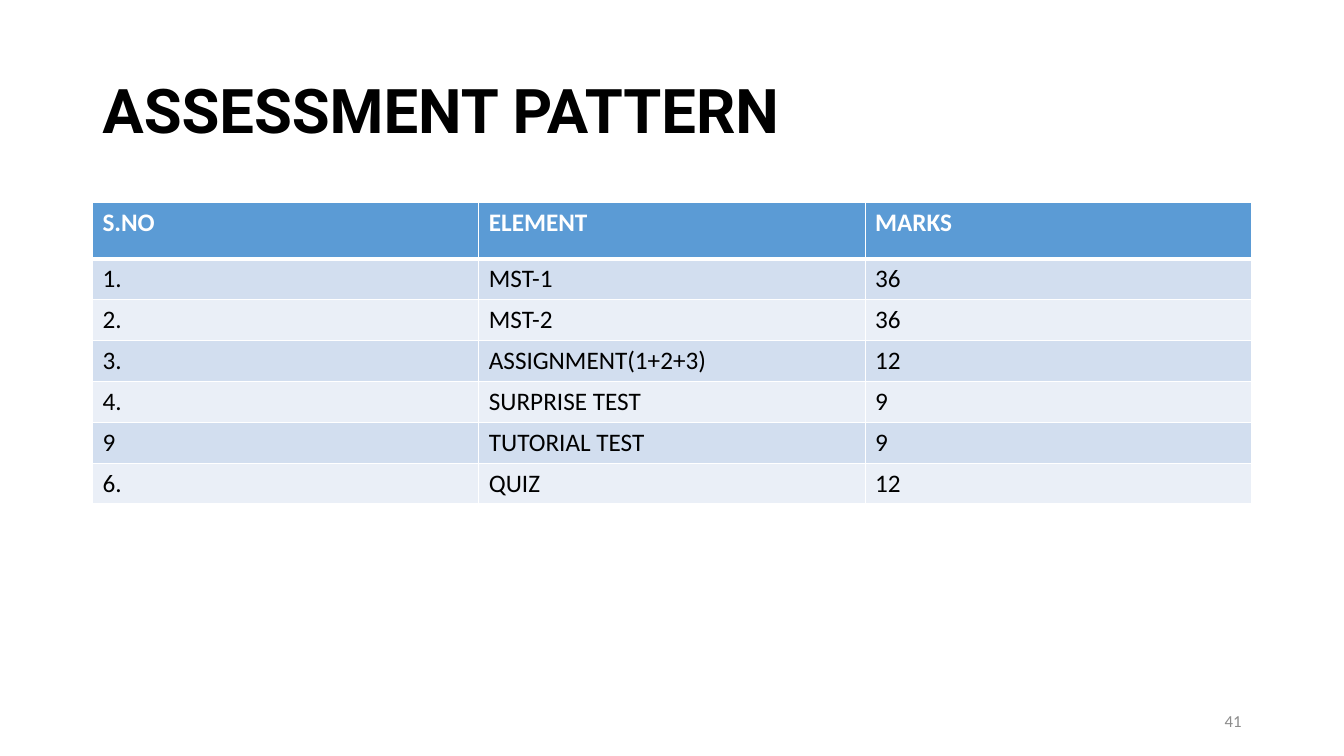
from dataclasses import dataclass

from lxml import etree
from pptx import Presentation
from pptx.dml.color import RGBColor
from pptx.enum import text
from pptx.oxml import ns
from pptx.util import Cm, Pt


@dataclass(frozen=True)
class Theme:
    heading_font: str = "Roboto"
    body_font: str = "Calibri"
    ink: str = "000000"
    white: str = "FFFFFF"
    grey: str = "8C8C8C"
    header: str = "5B9BD5"
    bands: tuple = ("D2DEEF", "EAEFF7")
    title_size: int = 44
    body_size: int = 18
    number_size: int = 12
    thin: int = 1
    thick: int = 3


THEME = Theme()
LEFT, WIDTH = 2.33, 29.21
HEADER_HEIGHT, ROW_HEIGHT = 1.42, 1.03
ROWS = [
    ("S.NO", "ELEMENT", "MARKS"),
    ("1.", "MST-1", "36"),
    ("2.", "MST-2", "36"),
    ("3.", "ASSIGNMENT(1+2+3)", "12"),
    ("4.", "SURPRISE TEST", "9"),
    ("9", "TUTORIAL TEST", "9"),
    ("6.", "QUIZ", "12"),
]


def write(tf, content, size=THEME.body_size, color=THEME.ink, font=THEME.body_font,
          bold=False, align=text.PP_ALIGN.LEFT, spacing=None):
    p = tf.paragraphs[0]
    p.alignment = align
    p.line_spacing = spacing
    r = p.add_run()
    r.text = content
    r.font.size = Pt(size)
    r.font.name = font
    r.font.bold = bold
    r.font.color.rgb = RGBColor.from_string(color)


def add_text(s, content, left, top, width, height, **style):
    tf = s.shapes.add_textbox(Cm(left), Cm(top), Cm(width), Cm(height)).text_frame
    tf.word_wrap = True
    tf.vertical_anchor = text.MSO_ANCHOR.MIDDLE
    write(tf, content, **style)


def set_borders(cell, **widths):
    """Draw white borders; widths maps a side (L, R, T, B) to points."""
    tc_pr = cell._tc.get_or_add_tcPr()
    for i, side in enumerate("LRTB"):
        ln = etree.Element(ns.qn(f"a:ln{side}"), w=str(Pt(widths.get(side, THEME.thin))))
        fill = etree.SubElement(ln, ns.qn("a:solidFill"))
        etree.SubElement(fill, ns.qn("a:srgbClr"), val=THEME.white)
        tc_pr.insert(i, ln)


def add_marks_table(s, rows, top):
    height = HEADER_HEIGHT + ROW_HEIGHT * (len(rows) - 1)
    table = s.shapes.add_table(len(rows), len(rows[0]), Cm(LEFT), Cm(top),
                               Cm(WIDTH), Cm(height)).table
    for i, row in enumerate(rows):
        is_header = i == 0
        table.rows[i].height = Cm(HEADER_HEIGHT if is_header else ROW_HEIGHT)
        fill = THEME.header if is_header else THEME.bands[(i - 1) % 2]
        borders = {0: {"B": THEME.thick}, 1: {"T": THEME.thick}}.get(i, {})
        for j, content in enumerate(row):
            cell = table.cell(i, j)
            cell.fill.solid()
            cell.fill.fore_color.rgb = RGBColor.from_string(fill)
            set_borders(cell, **borders)
            write(cell.text_frame, content, bold=is_header,
                  color=THEME.white if is_header else THEME.ink)


def main():
    prs = Presentation()
    prs.slide_width, prs.slide_height = Cm(33.87), Cm(19.05)
    s = prs.slides.add_slide(prs.slide_layouts[6])
    add_text(s, "ASSESSMENT PATTERN", LEFT, 1.01, WIDTH, 3.68, size=THEME.title_size,
             font=THEME.heading_font, bold=True, spacing=0.9)
    add_marks_table(s, ROWS, top=5.1)
    add_text(s, "41", 23.92, 17.66, 7.62, 1.01, size=THEME.number_size,
             color=THEME.grey, align=text.PP_ALIGN.RIGHT)
    prs.save("out.pptx")


if __name__ == "__main__":
    main()
